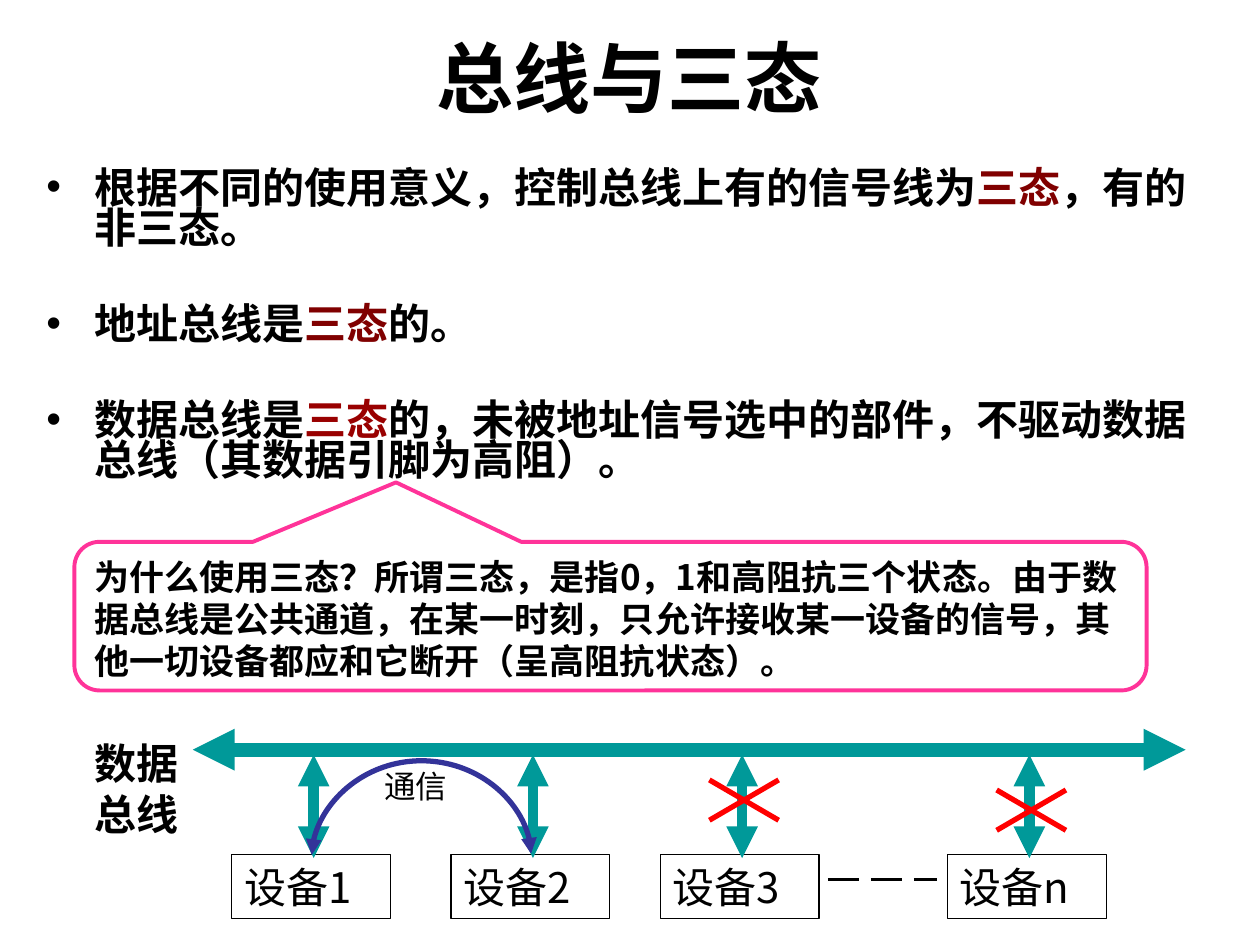
from collections import namedtuple
from dataclasses import dataclass

import lxml.etree
import pptx
import pptx.dml.color
import pptx.enum.dml
import pptx.enum.shapes
import pptx.enum.text
import pptx.oxml.ns
import pptx.util
from pptx.util import Inches, Pt

Box = namedtuple("Box", "left top width height")
CONNECTOR = pptx.enum.shapes.MSO_CONNECTOR
ANCHOR = pptx.enum.text.MSO_ANCHOR


@dataclass(frozen=True)
class Theme:
    latin: str = "Arial"
    chinese: str = "Noto Sans CJK SC"
    black: str = "000000"
    maroon: str = "800000"
    red_brown: str = "990000"
    pink: str = "FF3399"
    teal: str = "009999"
    indigo: str = "333399"
    red: str = "FF0000"
    title_size: int = 44
    body_size: int = 24
    callout_size: int = 20
    note_size: int = 18


THEME = Theme()


def color(value):
    return pptx.dml.color.RGBColor.from_string(value)


def add_element(parent, tag, **attributes):
    return lxml.etree.SubElement(parent, pptx.oxml.ns.qn(tag), attributes)


def style_paragraph(paragraph, size, font, bold=False, line_height=None):
    paragraph.font.size = Pt(size)
    paragraph.font.name = font
    paragraph.font.bold = bold
    paragraph.font.color.rgb = color(THEME.black)
    paragraph.alignment = pptx.enum.text.PP_ALIGN.LEFT
    if line_height:
        paragraph.line_spacing = Pt(line_height)


def add_text(slide, box, text="", anchor=ANCHOR.TOP, **style):
    shape = slide.shapes.add_textbox(*map(Inches, box))
    return fill_text(shape, text, anchor, **style)


def fill_text(shape, text, anchor, **style):
    frame = shape.text_frame
    frame.word_wrap = True
    frame.vertical_anchor = anchor
    frame.text = text
    style_paragraph(frame.paragraphs[0], **style)
    return shape


def add_outline(slide, kind, box, line_color, width):
    shape = slide.shapes.add_shape(kind, *map(Inches, box))
    shape.shadow.inherit = False
    shape.fill.background()
    shape.line.color.rgb = color(line_color)
    shape.line.width = Pt(width)
    return shape


def add_line(slide, start, end, line_color, width, arrows=False, kind=CONNECTOR.STRAIGHT):
    connector = slide.shapes.add_connector(kind, *map(Inches, (*start, *end)))
    connector.line.color.rgb = color(line_color)
    connector.line.width = Pt(width)
    if arrows:
        outline = connector.line._get_or_add_ln()
        add_element(outline, "a:headEnd", type="triangle")
        add_element(outline, "a:tailEnd", type="triangle")
    add_element(connector._element.spPr, "a:effectLst")
    return connector


def add_title(slide, box):
    shape = add_text(slide, box, "总线与三态", ANCHOR.MIDDLE,
                     size=THEME.title_size, font=THEME.latin, bold=True)
    shape.text_frame.paragraphs[0].alignment = pptx.enum.text.PP_ALIGN.CENTER


def add_bullets(slide, box):
    """Each bullet is the text before, the colour of, and the text after 三态."""
    bullets = [
        ("根据不同的使用意义，控制总线上有的信号线为", THEME.maroon, "，有的非三态。"),
        ("地址总线是", THEME.maroon, "的。"),
        ("数据总线是", THEME.red_brown,
         "的，未被地址信号选中的部件，不驱动数据总线（其数据引脚为高阻）。"),
    ]
    shape = slide.shapes.add_textbox(*map(Inches, box))
    frame = shape.text_frame
    frame.word_wrap = True
    for index, (before, emphasis, after) in enumerate(bullets):
        paragraph = frame.add_paragraph() if index else frame.paragraphs[0]
        style_paragraph(paragraph, THEME.body_size, THEME.chinese, True, line_height=23)
        paragraph.space_before = Pt(32 if index else 2)
        for text, text_color in ((before, THEME.black), ("三态", emphasis), (after, THEME.black)):
            run = paragraph.add_run()
            run.text = text
            run.font.color.rgb = color(text_color)
        properties = paragraph._p.get_or_add_pPr()
        properties.set("marL", str(Inches(0.38)))
        properties.set("indent", str(-Inches(0.38)))
        bullet_font = lxml.etree.Element(pptx.oxml.ns.qn("a:buFont"), typeface=THEME.latin)
        bullet = lxml.etree.Element(pptx.oxml.ns.qn("a:buChar"), char="•")
        default_run = properties.find(pptx.oxml.ns.qn("a:defRPr"))
        default_run.addprevious(bullet_font)
        default_run.addprevious(bullet)


def add_callout(slide, box):
    kind = pptx.enum.shapes.MSO_SHAPE.ROUNDED_RECTANGULAR_CALLOUT
    shape = add_outline(slide, kind, box, THEME.pink, 2.25)
    for index, value in enumerate((-0.2, -0.9, 0.17)):
        shape.adjustments[index] = value
    fill_text(shape, "为什么使用三态？所谓三态，是指0，1和高阻抗三个状态。"
              "由于数据总线是公共通道，在某一时刻，只允许接收某一设备的信号，"
              "其他一切设备都应和它断开（呈高阻抗状态）。", ANCHOR.TOP,
              size=THEME.callout_size, font=THEME.chinese, bold=True, line_height=24)


def add_device(slide, box, name):
    """A device box with its two-way link up to the bus."""
    shape = add_outline(slide, pptx.enum.shapes.MSO_SHAPE.RECTANGLE, box, THEME.black, 0.75)
    fill_text(shape, name, ANCHOR.MIDDLE, size=THEME.body_size, font=THEME.chinese)
    x = box.left + 0.65
    add_line(slide, (x, box.top - 0.79), (x, box.top + 0.03), THEME.teal, 6, arrows=True)


def add_cross(slide, box):
    right, bottom = box.left + box.width, box.top + box.height
    add_line(slide, (box.left, box.top), (right, bottom), THEME.red, 3)
    add_line(slide, (box.left, bottom), (right, box.top), THEME.red, 3)


def add_communication(slide, box):
    """A two-way arc across the box; its connector is a thin upright one, turned."""
    rise = 0.75
    thickness = 0.01
    x = box.left + box.width / 2
    top = box.top + box.height - box.width / 2
    arc = add_line(slide, (x + thickness, top + box.width), (x, top), THEME.indigo, 3,
                   arrows=True, kind=CONNECTOR.CURVE)
    properties = arc._element.spPr
    properties.find(pptx.oxml.ns.qn("a:xfrm")).set("rot", str(270 * 60000))
    geometry = properties.find(pptx.oxml.ns.qn("a:prstGeom"))
    guides = geometry.get_or_add_avLst()
    add_element(guides, "a:gd", name="adj1", fmla=f"val {round(-rise / thickness * 100000)}")
    add_text(slide, Box(box.left + 0.48, box.top, 0.79, 0.4), "通信",
             size=THEME.note_size, font=THEME.latin, line_height=22)


def add_bus_diagram(slide, box):
    left, top = box.left, box.top
    add_line(slide, (left + 0.88, top + 0.15), (left + box.width, top + 0.15),
             THEME.teal, 8, arrows=True)
    add_text(slide, Box(left, top, 0.97, 0.9), "数据总线",
             size=THEME.body_size, font=THEME.latin, bold=True, line_height=29)
    device_top = top + 0.98
    for name, offset in (("设备1", 1.19), ("设备2", 2.93), ("设备3", 4.59), ("设备n", 6.87)):
        add_device(slide, Box(left + offset, device_top, 1.26, 0.51), name)
    dashes = add_line(slide, (left + 5.92, top + 1.18), (left + 6.79, top + 1.18),
                      THEME.black, 2.25)
    dashes.line.dash_style = pptx.enum.dml.MSO_LINE.LONG_DASH
    add_communication(slide, Box(left + 1.82, top + 0.23, 1.74, 0.75))
    for offset_x, offset_y in ((4.98, 0.39), (7.26, 0.47)):
        add_cross(slide, Box(left + offset_x, top + offset_y, 0.55, 0.32))


def main():
    presentation = pptx.Presentation()
    presentation.slide_width = Inches(10)
    presentation.slide_height = Inches(7.5)
    slide = presentation.slides.add_slide(presentation.slide_layouts[6])
    add_title(slide, Box(0.27, 0.21, 9.45, 0.79))
    add_bullets(slide, Box(0.27, 1.31, 9.45, 2.9))
    add_callout(slide, Box(0.59, 4.3, 8.51, 1.18))
    add_bus_diagram(slide, Box(0.65, 5.8, 8.76, 1.49))
    presentation.save("out.pptx")


if __name__ == "__main__":
    main()
